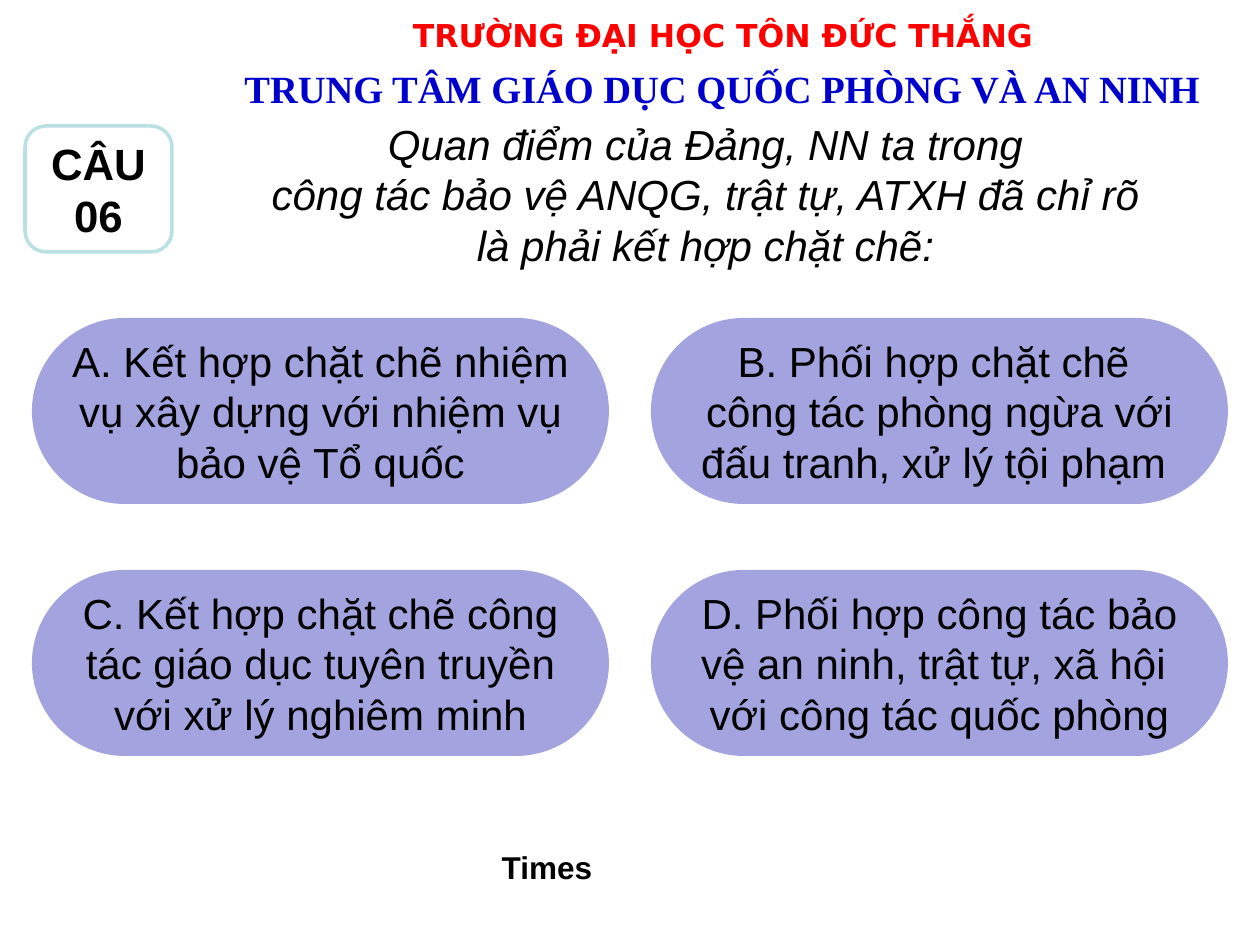
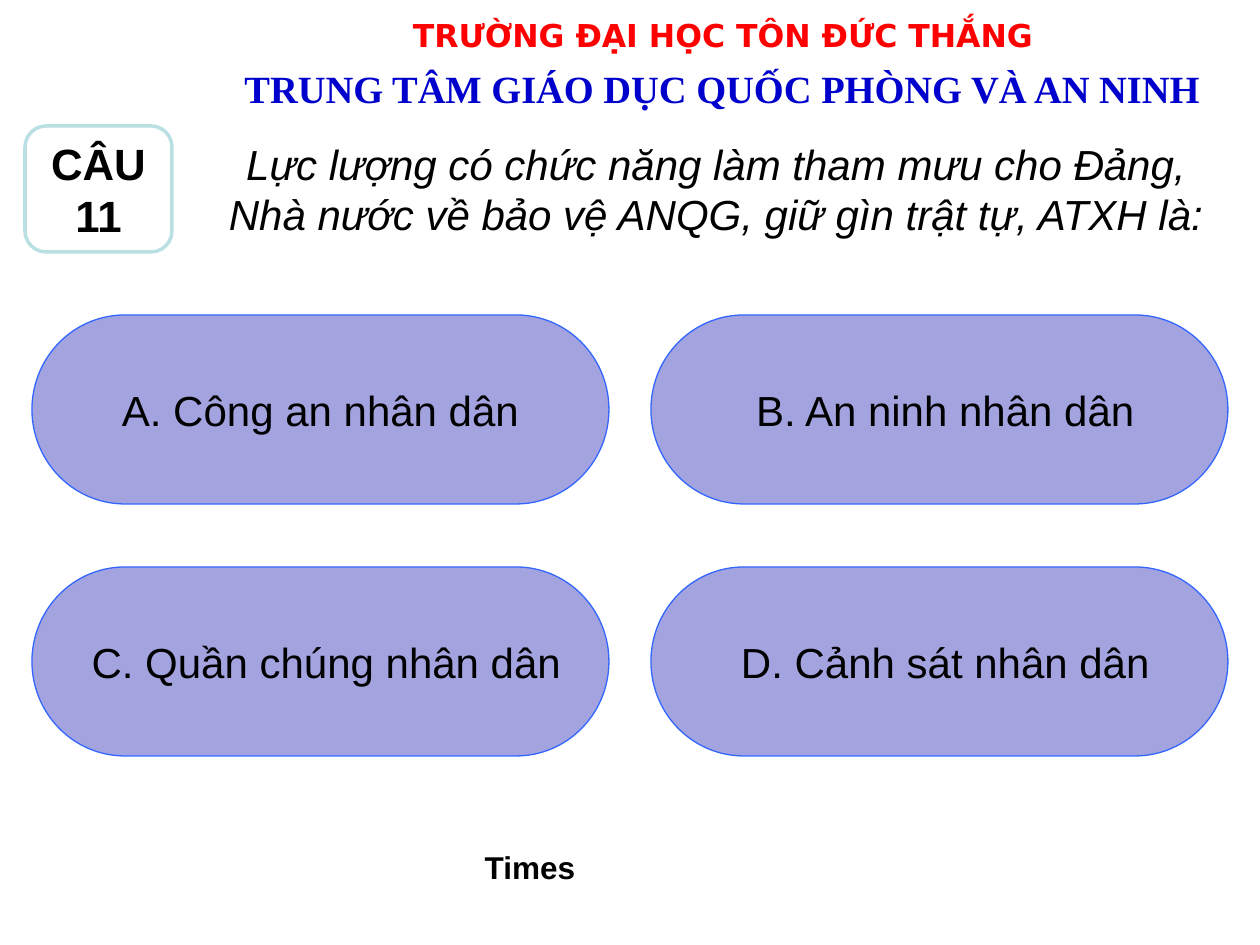
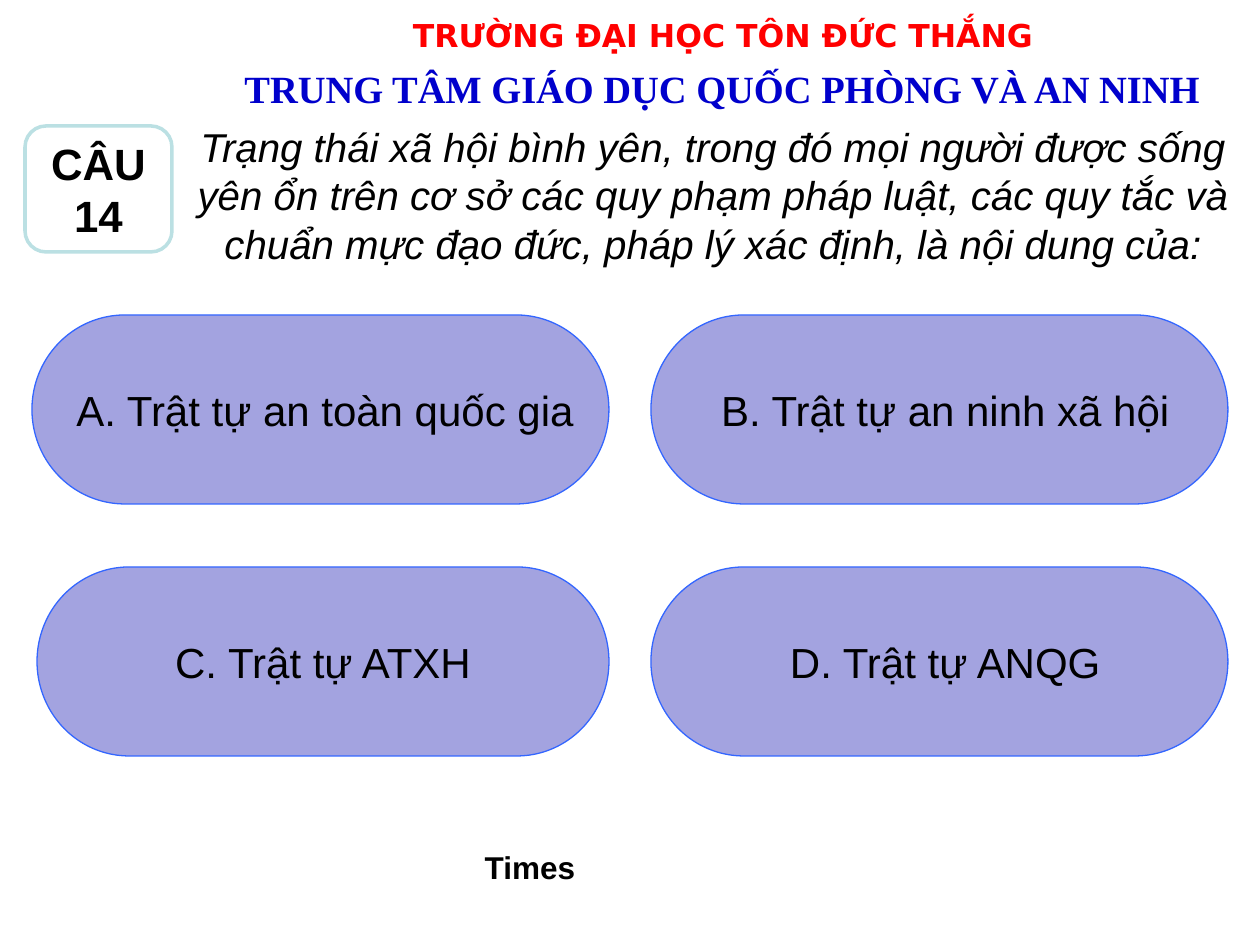
from pptx import Presentation
from pptx.dml.color import RGBColor
from pptx.enum.shapes import MSO_SHAPE
from pptx.enum.text import MSO_ANCHOR, MSO_AUTO_SIZE, PP_ALIGN
from pptx.util import Emu, Pt

PX_PER_INCH = 126
TITLE_ONLY = 5

COLOURS = {
    "school": "FF0000",
    "centre": "0000CC",
    "ink": "000000",
    "answer": "A3A3E0",
    "answer_edge": "3366FF",
    "badge": "FFFFFF",
    "badge_edge": "BBE0E3",
}

STYLES = {
    "school": {"name": "DejaVu Sans", "size": Pt(18), "bold": True, "italic": False},
    "centre": {"name": "Times New Roman", "size": Pt(22), "bold": True, "italic": False},
    "question": {"name": "Arial", "size": Pt(24), "bold": False, "italic": True},
    "long_question": {"name": "Arial", "size": Pt(23), "bold": False, "italic": True},
    "answer": {"name": "Arial", "size": Pt(24), "bold": False, "italic": False},
    "badge": {"name": "Arial", "size": Pt(25), "bold": True, "italic": False},
    "timer": {"name": "Arial", "size": Pt(18), "bold": True, "italic": False},
}

HEADINGS = [
    ("TRƯỜNG ĐẠI HỌC TÔN ĐỨC THẮNG", (256, 10, 934, 43), "school"),
    ("TRUNG TÂM GIÁO DỤC QUỐC PHÒNG VÀ AN NINH", (218, 59, 1008, 40), "centre"),
]

BADGE_BOX = (25, 126, 147, 126)
ANSWER_LEFT, ANSWER_WIDTH, COLUMN_STEP = 32, 577, 619
ANSWER_BOTTOM, ROW_STEP = 504, 252

QUESTIONS = [
    {
        "number": "06",
        "lines": (
            "Quan điểm của Đảng, NN ta trong",
            "công tác bảo vệ ANQG, trật tự, ATXH đã chỉ rõ",
            "là phải kết hợp chặt chẽ:",
        ),
        "box": (228, 112, 955, 164),
        "style": "question",
        "answers": (
            ("A. Kết hợp chặt chẽ nhiệm", "vụ xây dựng với nhiệm vụ", "bảo vệ Tổ quốc"),
            ("B. Phối hợp chặt chẽ ", "công tác phòng ngừa với", "đấu tranh, xử lý tội phạm "),
            ("C. Kết hợp chặt chẽ công", "tác giáo dục tuyên truyền", "với xử lý nghiêm minh"),
            ("D. Phối hợp công tác bảo", "vệ an ninh, trật tự, xã hội ", "với công tác quốc phòng"),
        ),
        "insets": (0, 0, 0, 0),
        "answer_height": 186,
        "edge": None,
        "timer_box": (472, 842, 150, 50),
    },
    {
        "number": "11",
        "lines": (
            "Lực lượng có chức năng làm tham mưu cho Đảng, "
            "Nhà nước về bảo vệ ANQG, giữ gìn trật tự, ATXH là:",
        ),
        "box": (207, 132, 1018, 113),
        "style": "question",
        "answers": (
            ("A. Công an nhân dân",),
            (" B. An ninh nhân dân",),
            (" C. Quần chúng nhân dân",),
            (" D. Cảnh sát nhân dân",),
        ),
        "insets": (0, 0, 0, 0),
        "answer_height": 189,
        "edge": "answer_edge",
        "timer_box": (462, 842, 136, 50),
    },
    {
        "number": "14",
        "lines": (
            "Trạng thái xã hội bình yên, trong đó mọi người được sống "
            "yên ổn trên cơ sở các quy phạm pháp luật, các quy tắc và "
            "chuẩn mực đạo đức, pháp lý xác định, là nội dung của:",
        ),
        "box": (178, 116, 1072, 158),
        "style": "long_question",
        "answers": (
            (" A. Trật tự an toàn quốc gia",),
            (" B. Trật tự an ninh xã hội",),
            ("C. Trật tự ATXH",),
            (" D. Trật tự ANQG",),
        ),
        "insets": (0, 0, 5, 0),
        "answer_height": 189,
        "edge": "answer_edge",
        "timer_box": (462, 842, 136, 50),
    },
]


def px(length):
    return Emu(round(length * 914400 / PX_PER_INCH))


def apply_format(target, values):
    for attribute, value in values.items():
        setattr(target, attribute, value)


def write_lines(holder, lines, style, colour="ink", wrap=True, anchor=MSO_ANCHOR.TOP):
    frame = holder.text_frame
    apply_format(frame, {
        "text": "\n".join(lines),
        "auto_size": MSO_AUTO_SIZE.NONE,
        "word_wrap": wrap,
        "vertical_anchor": anchor,
        "margin_left": Pt(7.2),
        "margin_right": Pt(7.2),
        "margin_top": Pt(3.6),
        "margin_bottom": Pt(3.6),
    })
    for paragraph in frame.paragraphs:
        paragraph.alignment = PP_ALIGN.CENTER
        for run in paragraph.runs:
            apply_format(run.font, STYLES[style])
            run.font.color.rgb = RGBColor.from_string(COLOURS[colour])


def add_label(slide, lines, box, style, **options):
    label = slide.shapes.add_textbox(*map(px, box))
    write_lines(label, lines, style, **options)
    return label


def add_panel(slide, outline, box, lines, style, edge, edge_width):
    panel = slide.shapes.add_shape(outline, *map(px, box))
    panel.shadow.inherit = False
    panel.fill.solid()
    panel.fill.fore_color.rgb = RGBColor.from_string(COLOURS[style])
    if edge:
        panel.line.color.rgb = RGBColor.from_string(COLOURS[edge])
        panel.line.width = Pt(edge_width)
    else:
        panel.line.fill.background()
    write_lines(panel, lines, style, wrap=False, anchor=MSO_ANCHOR.MIDDLE)


def add_master_headings(deck, slide):
    master_tree = deck.slide_master.element.cSld.spTree
    for position, (wording, box, style) in enumerate(HEADINGS):
        heading = add_label(slide, (wording,), box, style, colour=style, wrap=False)
        heading.element.nvSpPr.cNvPr.id = 100 + position
        master_tree.append(heading.element)


def place_question(slide, question):
    title = slide.shapes.title
    apply_format(title, dict(zip(("left", "top", "width", "height"), map(px, question["box"]))))
    write_lines(title, question["lines"], question["style"])


def add_answers(slide, question):
    height = question["answer_height"]
    for position, (answer, inset) in enumerate(zip(question["answers"], question["insets"])):
        row, column = divmod(position, 2)
        box = (
            ANSWER_LEFT + column * COLUMN_STEP + inset,
            ANSWER_BOTTOM - height + row * ROW_STEP,
            ANSWER_WIDTH - inset,
            height,
        )
        add_panel(slide, MSO_SHAPE.FLOWCHART_TERMINATOR, box, answer,
                  "answer", question["edge"], 0.75)


def add_question_slide(deck, question):
    slide = deck.slides.add_slide(deck.slide_layouts[TITLE_ONLY])
    place_question(slide, question)
    add_answers(slide, question)
    add_label(slide, ("Times",), question["timer_box"], "timer")
    add_panel(slide, MSO_SHAPE.ROUNDED_RECTANGLE, BADGE_BOX,
              ("CÂU", question["number"]), "badge", "badge_edge", 2)
    return slide


def main():
    deck = Presentation()
    deck.slide_width, deck.slide_height = px(1260), px(945)
    slides = [add_question_slide(deck, question) for question in QUESTIONS]
    add_master_headings(deck, slides[0])
    deck.save("out.pptx")


if __name__ == "__main__":
    main()
